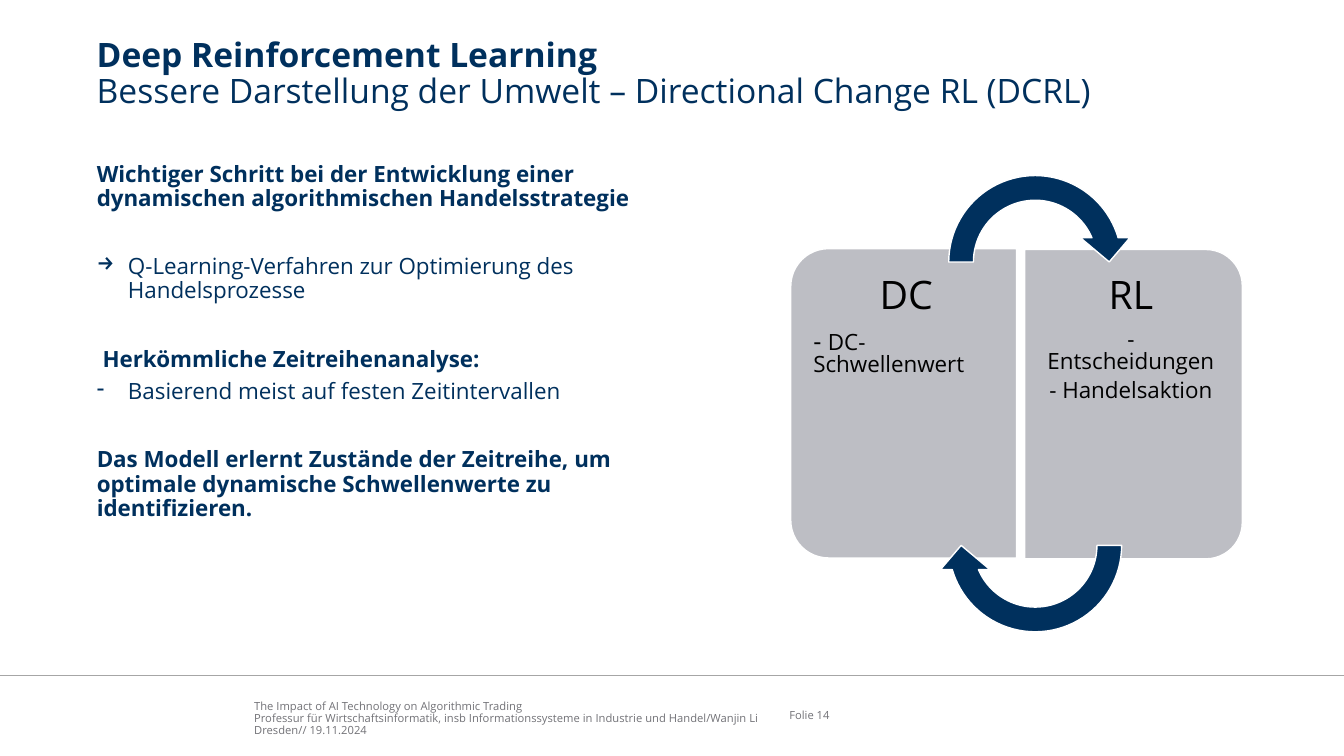
from lxml import etree
from pptx import Presentation
from pptx.dml.color import RGBColor
from pptx.enum import shapes, text
from pptx.oxml import ns
from pptx.util import Pt

COLORS = {"navy": "00305D", "panel": "BDBEC4", "footer": "727277",
          "rule": "A6A6A6", "white": "FFFFFF", "black": "000000"}
FONT = "Open Sans"
CENTER = text.PP_ALIGN.CENTER
HANGING = 22.3
SECTION_GAP = 31.4


def color(name):
    return RGBColor.from_string(COLORS[name])


def add_text(box, paragraphs, font_color, spacing=0.9, margins=(0, 0, 0, 0),
             anchor=text.MSO_ANCHOR.TOP):
    """Add a text box; each paragraph is (runs, format), each run (text, size, bold)."""
    frame = slide.shapes.add_textbox(*map(Pt, box)).text_frame
    sides = ("margin_left", "margin_top", "margin_right", "margin_bottom")
    for name, value in zip(sides, map(Pt, margins)):
        setattr(frame, name, value)
    frame.word_wrap = True
    frame.vertical_anchor = anchor
    for index, (runs, style) in enumerate(paragraphs):
        paragraph = frame.add_paragraph() if index else frame.paragraphs[0]
        style = {"line_spacing": spacing, **style}
        bullet = style.pop("bullet", None)
        for name, value in style.items():
            setattr(paragraph, name, value)
        if bullet:
            properties = paragraph._p.get_or_add_pPr()
            properties.set("marL", str(Pt(HANGING)))
            properties.set("indent", str(-Pt(HANGING)))
            etree.SubElement(properties, ns.qn("a:buChar"), char=bullet)
        for words, size, bold in runs:
            run = paragraph.add_run()
            run.text = words
            font = run.font
            font.name, font.size, font.bold = FONT, Pt(size), bold
            font.color.rgb = color(font_color)


presentation = Presentation()
presentation.slide_width, presentation.slide_height = Pt(960), Pt(540)
slide = presentation.slides.add_slide(presentation.slide_layouts[6])

# Footer
footer_lines = [
    "The Impact of AI Technology on Algorithmic Trading",
    "Professur für Wirtschaftsinformatik, insb Informationssysteme in Industrie und Handel/Wanjin Li",
    "Dresden// 19.11.2024",
]
add_text((181.5, 497.5, 366.5, 28.8), [([(line, 8, False)], {}) for line in footer_lines],
         "footer", anchor=text.MSO_ANCHOR.BOTTOM)
add_text((563.8, 496.8, 55.4, 28.8), [([("Folie 14", 8, False)], {})],
         "footer", anchor=text.MSO_ANCHOR.MIDDLE)
rule = slide.shapes.add_connector(shapes.MSO_CONNECTOR.STRAIGHT, 0, Pt(482.4), Pt(960), Pt(482.4))
rule.line.color.rgb = color("rule")
rule.line.width = Pt(1)
etree.SubElement(rule._element.spPr, ns.qn("a:effectLst"))

# Title
add_text((69.1, 27.4, 833, 54), [
    ([("Deep Reinforcement Learning", 24, True)], {}),
    ([("Bessere Darstellung der Umwelt – Directional Change RL (DCRL)", 24, False)], {}),
], "navy")

# Body: text, bold, bullet, space before
body = [
    ("Wichtiger Schritt bei der Entwicklung einer dynamischen algorithmischen Handelsstrategie",
     True, None, 6),
    ("Q-Learning-Verfahren zur Optimierung des Handelsprozesse", False, "→", SECTION_GAP),
    (" Herkömmliche Zeitreihenanalyse:", True, None, SECTION_GAP),
    ("Basierend meist auf festen Zeitintervallen", False, "-", 6),
    ("Das Modell erlernt Zustände der Zeitreihe, um optimale dynamische Schwellenwerte zu "
     "identifizieren.", True, None, SECTION_GAP),
]
add_text((69.1, 116.6, 409, 343.4), [
    ([(words, 16, bold)], {"bullet": bullet, "space_before": Pt(gap)})
    for words, bold, bullet, gap in body
], "navy")

# Diagram: shape kind, box, rotation, adjustments, fill
ROUNDED = shapes.MSO_SHAPE.ROUND_2_SAME_RECTANGLE
ARROW = shapes.MSO_SHAPE.CIRCULAR_ARROW
PANEL_CORNERS = (0.167, 0)
ARROW_BEND = (0.125, 11.423, 204.577, 108, 0.125)
diagram = [
    (ROUNDED, (535, 207.4, 221, 161.3), 270, PANEL_CORNERS, "panel"),
    (ROUNDED, (699.1, 211, 221, 155.5), 90, PANEL_CORNERS, "panel"),
    (ARROW, (668.9, 116.6, 141.1, 141.1), 0, ARROW_BEND, "navy"),
    (ARROW, (668.9, 319, 141.1, 141.1), 180, ARROW_BEND, "navy"),
]
for kind, box, rotation, adjustments, fill in diagram:
    shape = slide.shapes.add_shape(kind, *map(Pt, box))
    shape.rotation = rotation
    for index, value in enumerate(adjustments):
        shape.adjustments[index] = value
    shape.fill.solid()
    shape.fill.fore_color.rgb = color(fill)
    shape.line.color.rgb = color("white")
    shape.line.width = Pt(1)
    shape.shadow.inherit = False

heading = {"alignment": CENTER, "space_after": Pt(9.8)}
item = {"space_after": Pt(5.6)}
centered_item = {"alignment": CENTER, **item}
add_text((572.4, 185.8, 153.4, 205.2), [
    ([("DC", 28, False)], heading),
    ([("- ", 18, False), ("DC-Schwellenwert", 16, False)], item),
], "black", 0.8, (8.6, 13.7, 12.2, 13.7))
add_text((732.2, 185.8, 147.6, 205.9), [
    ([("RL", 28, False)], heading),
    ([("- Entscheidungen", 16, False)], centered_item),
    ([("- Handelsaktion", 16, False)], centered_item),
], "black", 0.8, (12.2, 13.7, 8.6, 13.7))

presentation.save("out.pptx")
